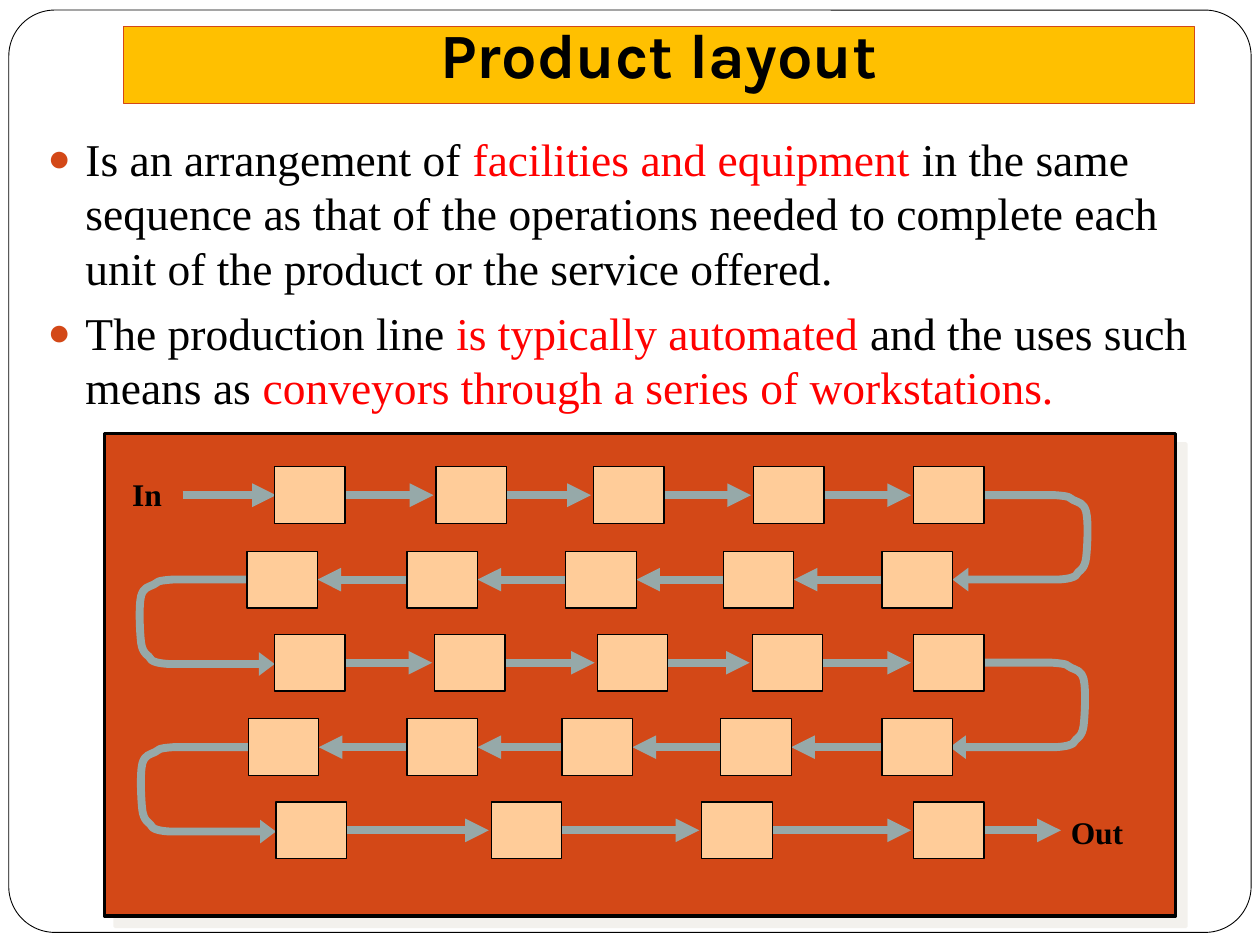
from itertools import pairwise

from lxml import etree
from pptx import Presentation
from pptx.dml.color import RGBColor
from pptx.enum import shapes, text
from pptx.oxml import ns
from pptx.util import Inches, Pt

BLACK, RED, RUST = "000000", "FF0000", "D34817"
FLOW, STATION, GOLD = "96A9A9", "FFCC99", "FFC000"
SERIF = "Times New Roman"
STATION_W, STATION_H = 0.56, 0.45

# Centre line of each row and left edges of its stations;
# the flow runs right, then left, in turn
ROWS = [
    (3.93, [2.18, 3.46, 4.71, 5.98, 7.25]),
    (4.60, [1.96, 3.23, 4.49, 5.74, 7.00]),
    (5.26, [2.18, 3.45, 4.74, 5.97, 7.25]),
    (5.93, [1.97, 3.23, 4.46, 5.72, 7.00]),
    (6.59, [2.19, 3.90, 5.57, 7.25]),
]

# Turn from one row to the next: three points for each cubic curve,
# as offsets from its start
TURN = [
    (0.11, 0), (0.54, 0), (0.67, 0),
    (0.81, 0.01), (0.78, 0.02), (0.82, 0.04),
    (0.86, 0.06), (0.9, 0.06), (0.92, 0.13),
    (0.94, 0.21), (0.93, 0.42), (0.92, 0.5),
    (0.91, 0.58), (0.87, 0.6), (0.86, 0.61),
    (0.84, 0.62), (0.87, 0.66), (0.7, 0.67),
    (0.54, 0.67), (0.04, 0.67), (-0.14, 0.67),
]
TURN_STARTS = [7.7, 2.04, 7.68, 2.05]

BULLETS = [
    [("Is an arrangement of ", BLACK),
     ("facilities and equipment ", RED),
     ("in the same sequence as that of the operations needed to complete "
      "each unit of the product or the service offered.", BLACK)],
    [("The production line ", BLACK),
     ("is typically automated ", RED),
     ("and the uses such means as ", BLACK),
     ("conveyors through a series of workstations.", RED)],
]


def color(value):
    return RGBColor.from_string(value)


def add_element(parent, tag, **attributes):
    return etree.SubElement(parent, ns.qn(tag), attributes)


def place(shape, left, top, width, height):
    shape.left, shape.top = Inches(left), Inches(top)
    shape.width, shape.height = Inches(width), Inches(height)


def paint(shape, fill, line, weight):
    shape.fill.solid()
    shape.fill.fore_color.rgb = color(fill)
    shape.line.color.rgb = color(line)
    shape.line.width = Pt(weight)


def add_run(paragraph, words, size, face, tint=BLACK, bold=False):
    run = paragraph.add_run()
    run.text = words
    run.font.size, run.font.name, run.font.bold = Pt(size), face, bold
    run.font.color.rgb = color(tint)


def add_block(slide, kind, box, fill, weight):
    block = slide.shapes.add_shape(kind, *map(Inches, box))
    paint(block, fill, BLACK, weight)
    block.shadow.inherit = False
    return block


def add_frame(slide):
    frame = add_block(slide, shapes.MSO_SHAPE.ROUNDED_RECTANGLE,
                      (0.07, 0.08, 9.86, 7.32), "FFFFFF", 0.5)
    frame.adjustments[0] = 0.05
    slide.shapes._spTree.insert(2, frame._element)  # behind the title


def set_title(slide):
    title = slide.shapes.title
    place(title, 0.98, 0.21, 8.5, 0.61)
    paint(title, GOLD, RUST, 0.75)
    frame = title.text_frame
    frame.auto_size = text.MSO_AUTO_SIZE.NONE
    frame.vertical_anchor = text.MSO_ANCHOR.BOTTOM
    frame.margin_bottom = Inches(0.1)
    paragraph = frame.paragraphs[0]
    paragraph.alignment = text.PP_ALIGN.CENTER
    add_run(paragraph, "Product layout", 36, "Karla", bold=True)


def add_bullets(slide):
    box = slide.shapes.add_textbox(*map(Inches, (0.28, 0.99, 9.45, 2.36)))
    frame = box.text_frame
    frame.word_wrap = True
    for index, runs in enumerate(BULLETS):
        paragraph = frame.add_paragraph() if index else frame.paragraphs[0]
        properties = paragraph._p.get_or_add_pPr()
        properties.set("marL", str(Inches(0.3)))
        properties.set("indent", str(Inches(-0.3)))
        add_element(add_element(properties, "a:buClr"), "a:srgbClr", val=RUST)
        add_element(properties, "a:buSzPct", val="85000")
        add_element(properties, "a:buFont", typeface=SERIF)
        add_element(properties, "a:buChar", char="●")
        paragraph.space_before = Pt(5.8 if index else 0)
        for words, tint in runs:
            add_run(paragraph, words, 26, SERIF, tint)


def add_panel(slide):
    panel = add_block(slide, shapes.MSO_SHAPE.RECTANGLE,
                      (0.83, 3.44, 8.5, 3.83), RUST, 2)
    effects = panel._element.spPr.find(ns.qn("a:effectLst"))
    shadow = add_element(effects, "a:outerShdw", dist=str(Pt(8.5)),
                         dir="2700000", algn="ctr", rotWithShape="0")
    tint = add_element(shadow, "a:srgbClr", val="E9E5DC")
    add_element(tint, "a:alpha", val="50000")


def style_flow(flow, head_length):
    flow.line.color.rgb = color(FLOW)
    flow.line.width = Pt(4.5)
    add_element(flow.line._get_or_add_ln(), "a:tailEnd",
                type="triangle", w="med", len=head_length)


def add_arrow(slide, start, end, y):
    arrow = slide.shapes.add_connector(
        shapes.MSO_CONNECTOR.STRAIGHT, *map(Inches, (start, y, end, y)))
    style_flow(arrow, "med")
    add_element(arrow._element.spPr, "a:effectLst")


def bend(outline):
    """Join each three straight segments into one cubic curve."""
    segments = list(outline._element.iter(ns.qn("a:lnTo")))
    for first in range(0, len(segments), 3):
        curve = etree.Element(ns.qn("a:cubicBezTo"))
        segments[first].addprevious(curve)
        for segment in segments[first:first + 3]:
            curve.append(segment[0])
            segment.getparent().remove(segment)


def add_turn(slide, x, y, side):
    builder = slide.shapes.build_freeform(Inches(x), Inches(y))
    builder.add_line_segments(
        [(Inches(x + side * dx), Inches(y + dy)) for dx, dy in TURN],
        close=False)
    turn = builder.convert_to_shape()
    bend(turn)
    turn.fill.background()
    turn.shadow.inherit = False
    style_flow(turn, "sm")


def add_label(slide, words, left, top, width):
    box = slide.shapes.add_textbox(*map(Inches, (left, top, width, 0.38)))
    box.text_frame.word_wrap = False
    add_run(box.text_frame.paragraphs[0], words, 18, SERIF, bold=True)


def add_line_layout(slide):
    # Flow first, so that the stations cover the arrow starts
    add_arrow(slide, 1.45, 2.19, ROWS[0][0])
    for row, (y, lefts) in enumerate(ROWS):
        for here, following in pairwise(lefts):
            if row % 2:
                add_arrow(slide, following + 0.03, here + STATION_W, y)
            else:
                add_arrow(slide, here + 0.5, following - 0.02, y)
    add_arrow(slide, 7.68, 8.42, ROWS[-1][0])
    for row, x in enumerate(TURN_STARTS):
        add_turn(slide, x, ROWS[row][0], -1 if row % 2 else 1)
    for y, lefts in ROWS:
        for left in lefts:
            add_block(slide, shapes.MSO_SHAPE.RECTANGLE,
                      (left, y - STATION_H / 2, STATION_W, STATION_H),
                      STATION, 0.75)
    add_label(slide, "In", 0.95, 3.72, 0.5)
    add_label(slide, "Out", 8.4, 6.4, 0.77)


def main():
    deck = Presentation()
    deck.slide_width, deck.slide_height = Inches(10), Inches(7.5)
    slide = deck.slides.add_slide(deck.slide_layouts[5])
    add_frame(slide)
    set_title(slide)
    add_bullets(slide)
    add_panel(slide)
    add_line_layout(slide)
    deck.save("out.pptx")


if __name__ == "__main__":
    main()
